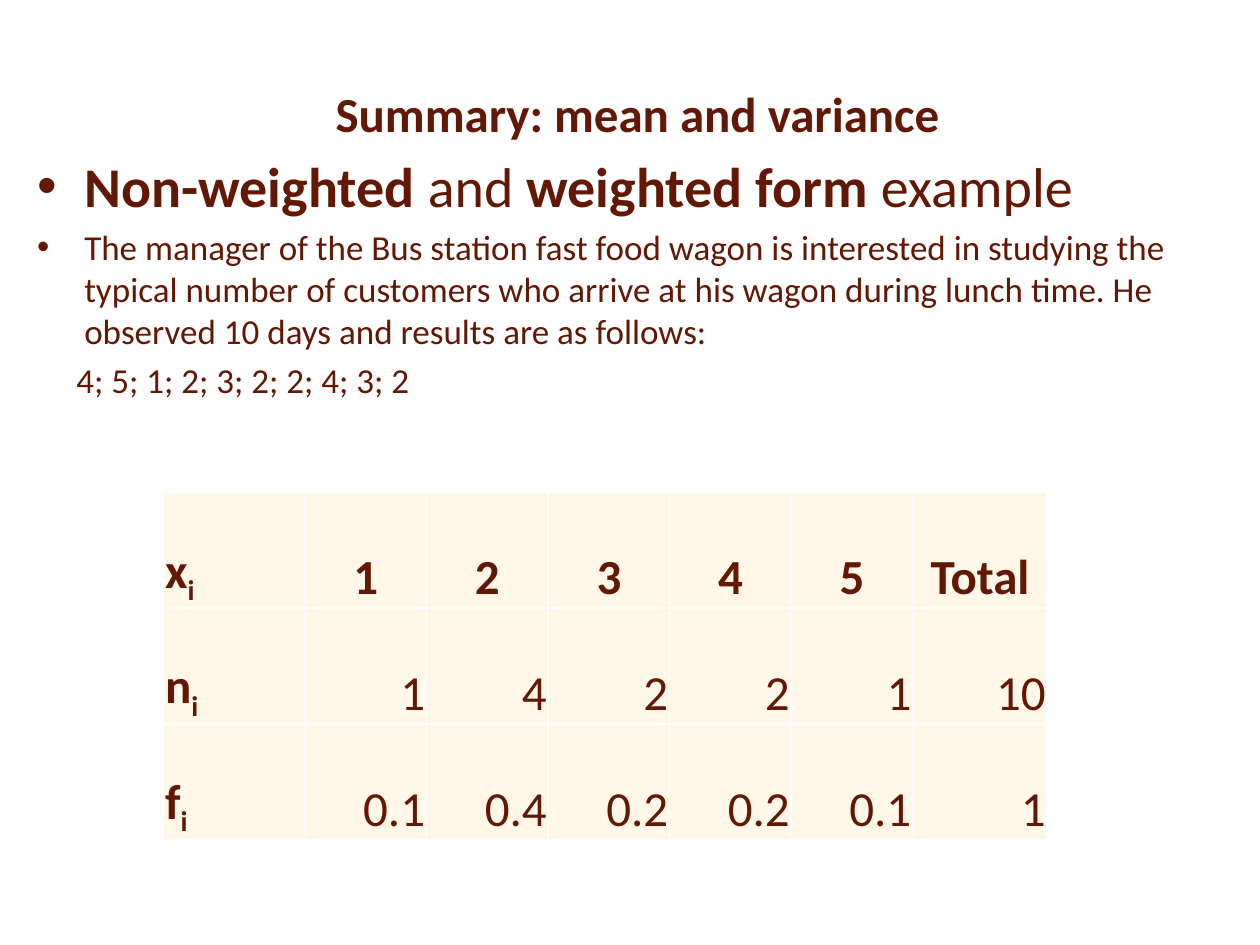
from dataclasses import dataclass

from lxml.etree import SubElement
from pptx import Presentation
from pptx.dml.color import RGBColor
from pptx.enum.text import MSO_ANCHOR, PP_ALIGN as Align
from pptx.oxml.ns import qn
from pptx.util import Cm, Pt


@dataclass(frozen=True)
class Theme:
    font: str = "Calibri"
    ink: str = "621805"
    cell: str = "FFF7E8"
    border: str = "FFFFFF"
    heading: int = 28
    lead: int = 32
    body: int = 20


THEME = Theme()

# Content: a run is (text, bold)
TITLE = "Summary: mean and variance"
LEAD = [("Non-weighted", True), (" and ", False), ("weighted form ", True), ("example", False)]
STORY = (
    "The manager of the Bus station fast food wagon is interested in studying "
    "the typical number of customers who arrive at his wagon during lunch time. "
    "He observed 10 days and results are as follows:"
)
OBSERVATIONS = "4; 5; 1; 2; 3; 2; 2; 4; 3; 2"
FREQUENCIES = [
    ("x", ["1", "2", "3", "4", "5", "Total"]),
    ("n", ["1", "4", "2", "2", "1", "10"]),
    ("f", ["0.1", "0.4", "0.2", "0.2", "0.1", "1"]),
]

# Layout in centimetres
TITLE_BOX = (1.42, 1.55, 22.86, 1.45)
BODY_BOX = (0.5, 2.92, 23.83, 14.8)
TABLE_LEFT, TABLE_TOP = 3.3, 9.93
COL_WIDTHS = [2.85] + [2.45] * 5 + [2.71]
ROW_HEIGHT = 2.33
HANG, PLAIN_INDENT = 0.95, 0.79


def add_run(p, text, size=THEME.body, bold=False, subscript=False):
    r = p.add_run()
    r.text = text
    r.font.name = THEME.font
    r.font.size = Pt(size)
    r.font.bold = bold
    r.font.color.rgb = RGBColor.from_string(THEME.ink)
    if subscript:
        r.font._element.set("baseline", "-25000")


def set_indent(p, left, bullet=False):
    pPr = p._p.get_or_add_pPr()
    pPr.set("marL", str(Cm(left)))
    if bullet:
        pPr.set("indent", str(-Cm(left)))
        SubElement(pPr, qn("a:buFont")).set("typeface", "Arial")
        SubElement(pPr, qn("a:buChar")).set("char", "•")


def format_cell(cell):
    cell.vertical_anchor = MSO_ANCHOR.BOTTOM
    cell.margin_left = cell.margin_right = cell.margin_top = Cm(0.03)
    cell.margin_bottom = 0
    tcPr = cell._tc.get_or_add_tcPr()
    for side in ("lnL", "lnR", "lnT", "lnB"):
        ln = SubElement(tcPr, qn(f"a:{side}"), w=str(Pt(1)))
        fill = SubElement(ln, qn("a:solidFill"))
        SubElement(fill, qn("a:srgbClr"), val=THEME.border)
    cell.fill.solid()
    cell.fill.fore_color.rgb = RGBColor.from_string(THEME.cell)


def add_title(slide):
    sp = slide.shapes.title
    sp.left, sp.top, sp.width, sp.height = map(Cm, TITLE_BOX)
    tf = sp.text_frame
    tf.vertical_anchor = MSO_ANCHOR.MIDDLE
    p = tf.paragraphs[0]
    p.alignment = Align.CENTER
    add_run(p, TITLE, size=THEME.heading, bold=True)


def add_body(slide):
    tf = slide.shapes.add_textbox(*map(Cm, BODY_BOX)).text_frame
    tf.word_wrap = True
    paragraphs = [
        (LEAD, THEME.lead, HANG, True),
        ([(STORY, False)], THEME.body, HANG, True),
        ([(OBSERVATIONS, False)], THEME.body, PLAIN_INDENT, False),
    ]
    for i, (runs, size, left, bullet) in enumerate(paragraphs):
        p = tf.add_paragraph() if i else tf.paragraphs[0]
        p.space_before = Pt(size * 0.2)
        set_indent(p, left, bullet)
        for text, bold in runs:
            add_run(p, text, size=size, bold=bold)


def add_frequency_table(slide):
    rows, cols = len(FREQUENCIES), len(COL_WIDTHS)
    table = slide.shapes.add_table(
        rows, cols, Cm(TABLE_LEFT), Cm(TABLE_TOP),
        Cm(sum(COL_WIDTHS)), Cm(ROW_HEIGHT * rows),
    ).table
    for col, width in zip(table.columns, COL_WIDTHS):
        col.width = Cm(width)
    for i, (symbol, values) in enumerate(FREQUENCIES):
        table.rows[i].height = Cm(ROW_HEIGHT)
        for j, text in enumerate([symbol] + values):
            cell = table.cell(i, j)
            format_cell(cell)
            p = cell.text_frame.paragraphs[0]
            add_run(p, text, size=THEME.heading, bold=i == 0 or j == 0)
            if j == 0:
                add_run(p, "i", size=THEME.heading, bold=True, subscript=True)
            else:
                p.alignment = Align.RIGHT if i else Align.CENTER


def main():
    prs = Presentation()
    prs.slide_width, prs.slide_height = Cm(25.4), Cm(19.05)
    slide = prs.slides.add_slide(prs.slide_layouts.get_by_name("Title Only"))
    add_title(slide)
    add_body(slide)
    add_frequency_table(slide)
    prs.save("out.pptx")


if __name__ == "__main__":
    main()
